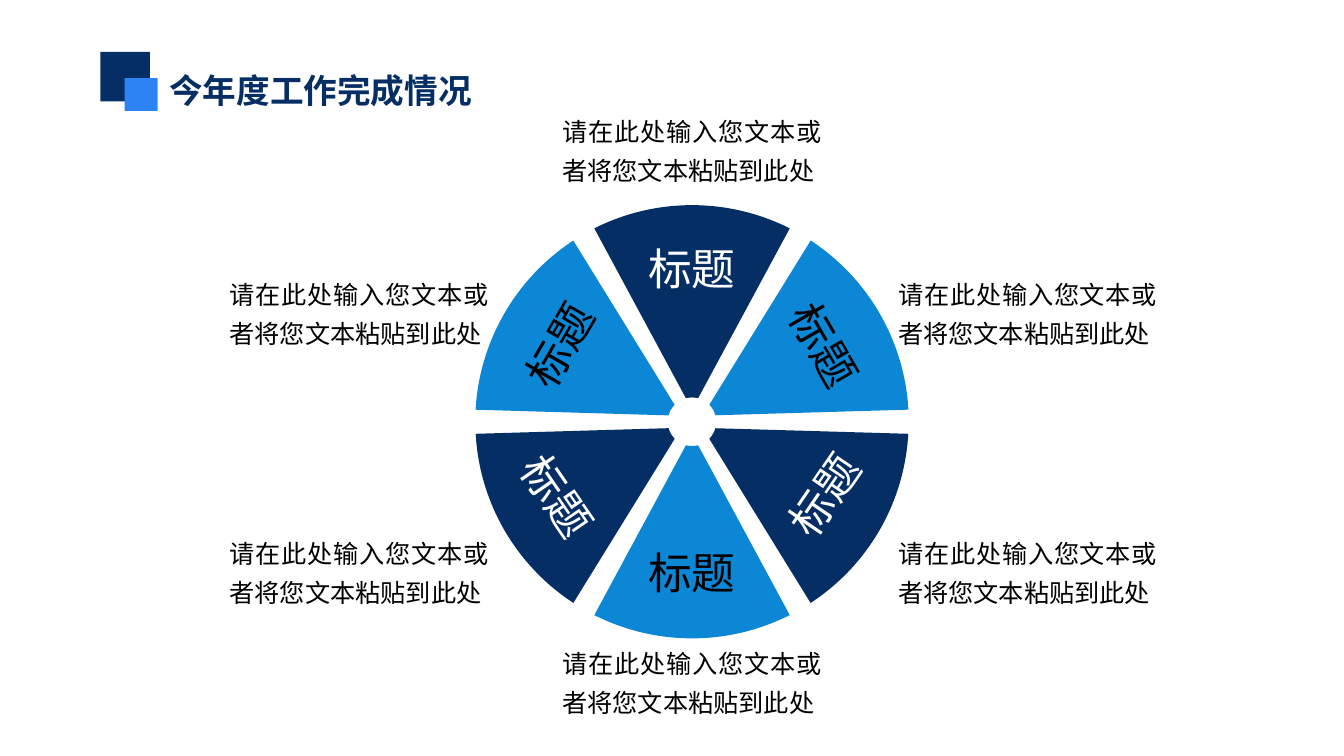
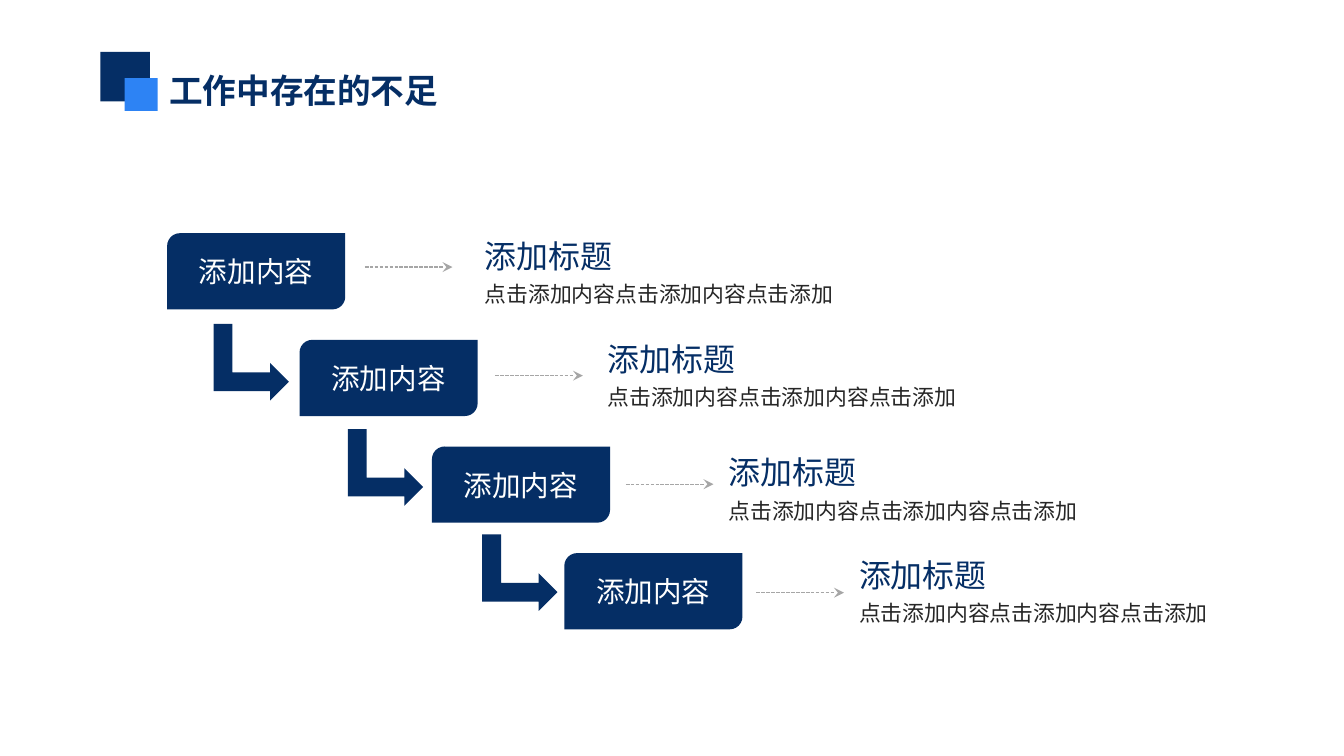
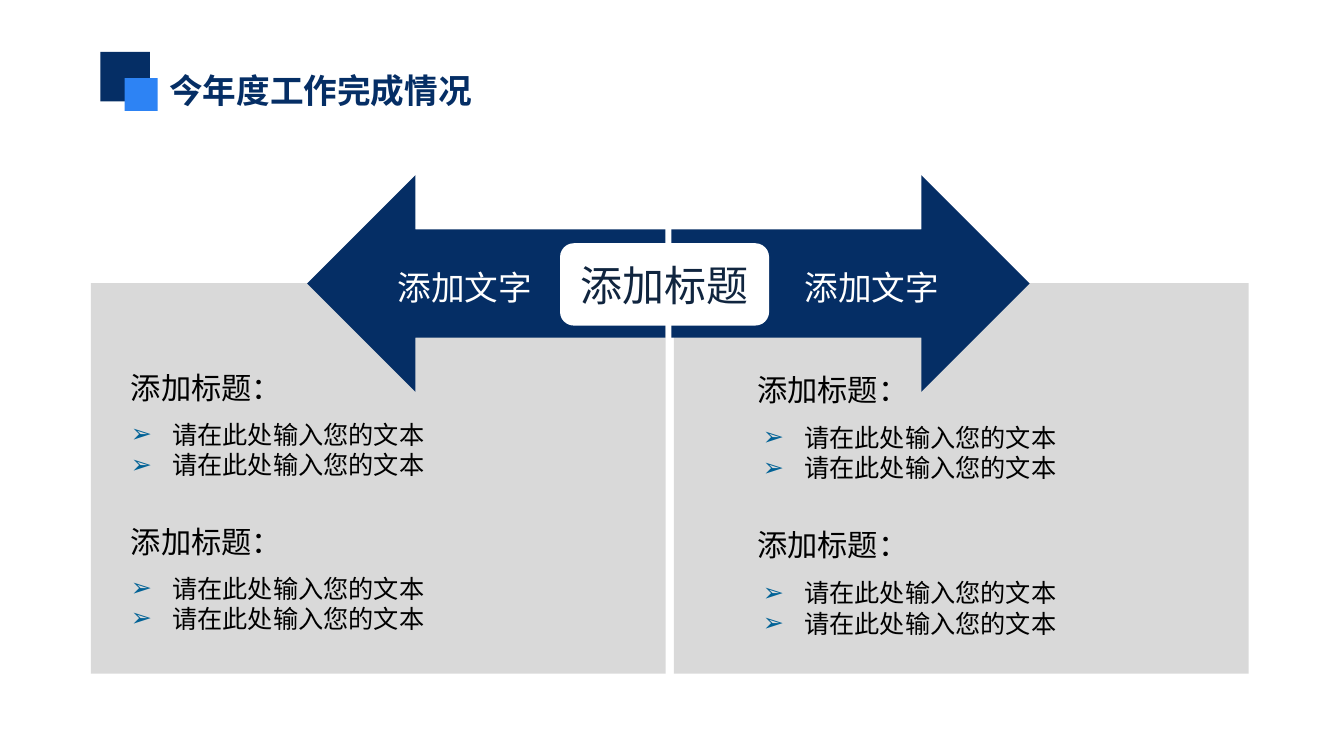
import math

import lxml.etree
import pptx
import pptx.dml.color
import pptx.enum.dml
import pptx.enum.shapes
import pptx.enum.text
import pptx.oxml.ns
import pptx.util

Cm, Pt = pptx.util.Cm, pptx.util.Pt
RGB = pptx.dml.color.RGBColor
SHAPE = pptx.enum.shapes.MSO_SHAPE
ALIGN = pptx.enum.text.PP_ALIGN
ANCHOR = pptx.enum.text.MSO_ANCHOR
qn = pptx.oxml.ns.qn

FONT = "Noto Sans CJK SC"
NAVY = RGB(0x05, 0x2E, 0x65)
SKY = RGB(0x0B, 0x87, 0xD6)
ACCENT = RGB(0x2D, 0x83, 0xF4)
BULLET = RGB(0x01, 0x62, 0x96)
INK = RGB(0x10, 0x25, 0x3F)
CHARCOAL = RGB(0x26, 0x26, 0x26)
DASH_GRAY = RGB(0xA6, 0xA6, 0xA6)
PANEL_GRAY = RGB(0xD9, 0xD9, 0xD9)
WHITE = RGB(0xFF, 0xFF, 0xFF)
BLACK = RGB(0, 0, 0)

SLIDE_SIZE = (28.22, 15.88)
VEIL_OPACITIES = (92, 84)
TITLE_ONLY, TWO_CONTENT = 5, 3
TEXT_INSETS = (0.25, 0.13, 0.25, 0.13)

# Slide 1: lengths in cm, angles clockwise from the top
WHEEL_TITLE = "今年度工作完成情况"
HUB = (14.53, 8.86)
OUTER_RADIUS, OUTER_HALF_ANGLE = 4.55, 26.8
INNER_RADIUS, INNER_HALF_ANGLE = 0.51, 14.5
UPPER_INSETS = (0, 0, 0, 1.4)
LOWER_INSETS = (0.28, 1.4, 0.28, 0.13)
WEDGE_LABEL = "标题"
WEDGES = [  # direction, text tilt, fill, text colour, insets
    (0, 0, NAVY, WHITE, UPPER_INSETS),
    (60, 60, SKY, BLACK, UPPER_INSETS),
    (300, 300, SKY, BLACK, UPPER_INSETS),
    (120, 304.3, NAVY, WHITE, LOWER_INSETS),
    (180, 0, SKY, BLACK, LOWER_INSETS),
    (240, 55.5, NAVY, WHITE, (0, 1.4, 0, 0)),
]
CAPTION = "请在此处输入您文本或者将您文本粘贴到此处"
CAPTION_SPOTS = [(11.53, 1.97), (11.53, 13.14)] + [
    (x, y) for x in (18.58, 4.54) for y in (5.39, 10.83)]

# Slide 2
STEPS_TITLE = "工作中存在的不足"
STEP_LABEL = "添加内容"
STEP_HEADING = "添加标题"
STEP_DETAIL = "点击添加内容点击添加内容点击添加"
STEP_TEXT_SPOTS = [(9.93, 4.89), (12.51, 7.05), (15.05, 9.43), (17.79, 11.58)]

# Slide 3
COMPARE_TITLE = "今年度工作完成情况"
CENTRE_LABEL = "添加标题"
SECTIONS = [("添加标题：", ["请在此处输入您的文本"] * 2)] * 2
SIDES = [  # panel left, list left and top, bullet shift, first-bullet gap in pt
    (1.91, 2.5, 7.63, 0, 8),
    (14.15, 15.65, 7.66, 0.12, 9),
]
ARROWS = [  # shape, left, insets
    (SHAPE.RIGHT_ARROW, 14.1, (2.03, 0, 0, 0)),
    (SHAPE.LEFT_ARROW, 6.45, (0, 0, 2.03, 0)),
]


def style(p, size, color, align=ALIGN.LEFT, bold=False, spacing=None):
    p.alignment = align
    if spacing:
        p.line_spacing = spacing
    f = p.font
    f.size, f.bold, f.name = Pt(size), bold, FONT
    f.color.rgb = color
    lxml.etree.SubElement(p._p.pPr.find(qn("a:defRPr")), qn("a:ea"), typeface=FONT)


def set_frame(tf, insets, anchor):
    tf.word_wrap = True
    tf.auto_size = pptx.enum.text.MSO_AUTO_SIZE.NONE
    tf.vertical_anchor = anchor
    (tf.margin_left, tf.margin_top,
     tf.margin_right, tf.margin_bottom) = [Cm(v) for v in insets]


def write(sp, text, size, color, align=ALIGN.LEFT, insets=TEXT_INSETS,
          anchor=ANCHOR.MIDDLE, **options):
    set_frame(sp.text_frame, insets, anchor)
    sp.text_frame.text = text
    style(sp.text_frame.paragraphs[0], size, color, align, **options)


def paint(sp, fill):
    sp.shadow.inherit = False
    sp.fill.solid()
    sp.fill.fore_color.rgb = fill
    sp.line.fill.background()
    return sp


def add_block(s, kind, x, y, w, h, fill):
    return paint(s.shapes.add_shape(kind, Cm(x), Cm(y), Cm(w), Cm(h)), fill)


def add_text(s, x, y, w, h, *args, **options):
    write(s.shapes.add_textbox(Cm(x), Cm(y), Cm(w), Cm(h)), *args, **options)


def place(sp, x, y, w, h):
    sp.left, sp.top, sp.width, sp.height = Cm(x), Cm(y), Cm(w), Cm(h)


def veil_master(prs, s):
    """Lay translucent white sheets at the back of the slide master."""
    for i, opacity in enumerate(VEIL_OPACITIES):
        veil = add_block(s, SHAPE.RECTANGLE, 0, 0, *SLIDE_SIZE, WHITE)
        color = veil.element.spPr.find(qn("a:solidFill")).find(qn("a:srgbClr"))
        lxml.etree.SubElement(color, qn("a:alpha"), val=str(opacity * 1000))
        prs.slide_master.shapes.element.insert(2 + i, veil.element)


def new_slide(prs, layout, title):
    """Add a slide with the shared title and its two squares."""
    s = prs.slides.add_slide(prs.slide_layouts[layout])
    place(s.shapes.title, 3.3, 1.33, 7.19, 1.12)
    write(s.shapes.title, title, 20, NAVY, anchor=ANCHOR.TOP, bold=True)
    add_block(s, SHAPE.RECTANGLE, 2.11, 1.09, 1.04, 1.04, NAVY)
    add_block(s, SHAPE.RECTANGLE, 2.62, 1.64, 0.69, 0.69, ACCENT)
    return s


def polar(radius, degrees):
    a = math.radians(degrees)
    return Cm(HUB[0] + radius * math.sin(a)), Cm(HUB[1] - radius * math.cos(a))


def curve_controls(radius, start, end):
    """Bezier control points of the arc between two angles."""
    reach = 4 / 3 * math.tan(math.radians(end - start) / 4)
    far = radius * math.hypot(1, reach)
    lean = math.degrees(math.atan(reach))
    return polar(far, start + lean), polar(far, end - lean)


def bend(line_to, controls, origin):
    """Turn a straight path segment into a curve."""
    curve = lxml.etree.Element(qn("a:cubicBezTo"))
    for x, y in controls:
        lxml.etree.SubElement(curve, qn("a:pt"),
                              x=str(x - origin[0]), y=str(y - origin[1]))
    line_to.getparent().replace(line_to, curve)
    curve.append(line_to[0])


def add_wedge(s, direction, tilt, fill, color, insets):
    """Draw a wedge around the hub; the shape itself is rotated by the text tilt."""
    base = direction - tilt
    corners = [(OUTER_RADIUS, base - OUTER_HALF_ANGLE), (OUTER_RADIUS, base),
               (OUTER_RADIUS, base + OUTER_HALF_ANGLE),
               (INNER_RADIUS, base + INNER_HALF_ANGLE),
               (INNER_RADIUS, base - INNER_HALF_ANGLE)]
    points = [polar(*corner) for corner in corners]
    builder = s.shapes.build_freeform(*points[0])
    builder.add_line_segments(points[1:], close=True)
    sp = paint(builder.convert_to_shape(), fill)
    origin = sp.left, sp.top
    segments = list(sp.element.iter(qn("a:lnTo")))
    for i, (radius, start) in enumerate(corners[:-1]):
        next_radius, end = corners[i + 1]
        if radius == next_radius:
            bend(segments[i], curve_controls(radius, start, end), origin)

    hub_x, hub_y = Cm(HUB[0]), Cm(HUB[1])
    dx = sp.left + sp.width / 2 - hub_x
    dy = sp.top + sp.height / 2 - hub_y
    cos, sin = math.cos(math.radians(tilt)), math.sin(math.radians(tilt))
    sp.left = int(hub_x + dx * cos - dy * sin - sp.width / 2)
    sp.top = int(hub_y + dx * sin + dy * cos - sp.height / 2)
    sp.rotation = tilt
    write(sp, WEDGE_LABEL, 26, color, ALIGN.CENTER, insets)


def add_dashed_arrow(s, x, y, length):
    line = s.shapes.add_connector(pptx.enum.shapes.MSO_CONNECTOR.STRAIGHT,
                                  Cm(x), Cm(y), Cm(x + length), Cm(y))
    line.line.color.rgb = DASH_GRAY
    line.line.width = Pt(0.75)
    line.line.dash_style = pptx.enum.dml.MSO_LINE.SQUARE_DOT
    props = line._element.spPr
    lxml.etree.SubElement(props.find(qn("a:ln")), qn("a:tailEnd"), type="stealth")
    lxml.etree.SubElement(props, qn("a:effectLst"))


def set_bullet(p, shift):
    props = p._p.get_or_add_pPr()
    props.set("marL", str(Cm(0.87 + shift)))
    props.set("indent", str(-Cm(0.87)))
    color = lxml.etree.SubElement(props, qn("a:buClr"))
    lxml.etree.SubElement(color, qn("a:srgbClr"), val=str(BULLET))
    lxml.etree.SubElement(props, qn("a:buChar"), char="➢")


def clear_bullet(p):
    props = p._p.get_or_add_pPr()
    props.set("marL", "0")
    props.set("indent", "0")
    lxml.etree.SubElement(props, qn("a:buNone"))


def fill_sections(tf, shift, gap):
    set_frame(tf, TEXT_INSETS, ANCHOR.TOP)
    for i, (heading, items) in enumerate(SECTIONS):
        p = tf.add_paragraph() if i else tf.paragraphs[0]
        p.text = heading
        clear_bullet(p)
        p.space_before = Pt(26 if i else 0)
        style(p, 18, BLACK)
        for j, item in enumerate(items):
            p = tf.add_paragraph()
            p.text = item
            set_bullet(p, shift)
            p.space_before = Pt(0 if j else gap)
            style(p, 15, BLACK)


def wheel_slide(prs):
    s = new_slide(prs, TITLE_ONLY, WHEEL_TITLE)
    veil_master(prs, s)
    for wedge in WEDGES:
        add_wedge(s, *wedge)
    for x, y in CAPTION_SPOTS:
        add_text(s, x, y, 6, 2.21, CAPTION, 15, BLACK, ALIGN.JUSTIFY,
                 (0.28, 0.15, 0.28, 0.15), spacing=1.3)


def steps_slide(prs):
    s = new_slide(prs, TITLE_ONLY, STEPS_TITLE)
    for i, (x, y) in enumerate(STEP_TEXT_SPOTS):
        box = add_block(s, SHAPE.ROUND_2_DIAG_RECTANGLE,
                        3.51 + 2.78 * i, 4.9 + 2.24 * i, 3.74, 1.6, NAVY)
        write(box, STEP_LABEL, 17, WHITE, ALIGN.CENTER)
        add_dashed_arrow(s, 7.66 + 2.74 * i, 5.61 + 2.28 * i, 1.84)
        add_text(s, x, y, 3.38, 0.97, STEP_HEADING, 19, NAVY)
        add_text(s, x, y + 0.86, 7.87, 0.86, STEP_DETAIL, 13, CHARCOAL)
        if i < len(STEP_TEXT_SPOTS) - 1:
            elbow = add_block(s, SHAPE.BENT_UP_ARROW,
                              4.47 + 2.82 * i, 6.82 + 2.21 * i, 1.61, 1.58, NAVY)
            elbow.rotation = 90


def compare_slide(prs):
    s = new_slide(prs, TWO_CONTENT, COMPARE_TITLE)
    bodies = [ph for ph in s.placeholders if ph.placeholder_format.idx in (1, 2)]
    for body, (panel_x, x, y, shift, gap) in zip(bodies, SIDES):
        add_block(s, SHAPE.RECTANGLE, panel_x, 5.95, 12.07, 8.2, PANEL_GRAY)
        place(body, x, y, 7.3, 6)
        fill_sections(body.text_frame, shift, gap)
        s.shapes.element.append(body.element)  # bring above its panel
    for kind, x, insets in ARROWS:
        arrow = add_block(s, kind, x, 3.68, 7.52, 4.55, NAVY)
        write(arrow, "添加文字", 20, WHITE, ALIGN.CENTER, insets, spacing=1.2)
    centre = add_block(s, SHAPE.ROUNDED_RECTANGLE, 11.76, 5.11, 4.39, 1.73, WHITE)
    write(centre, CENTRE_LABEL, 25, INK, ALIGN.CENTER)


def main():
    prs = pptx.Presentation()
    prs.slide_width, prs.slide_height = [Cm(v) for v in SLIDE_SIZE]
    wheel_slide(prs)
    steps_slide(prs)
    compare_slide(prs)
    prs.save("out.pptx")


if __name__ == "__main__":
    main()
